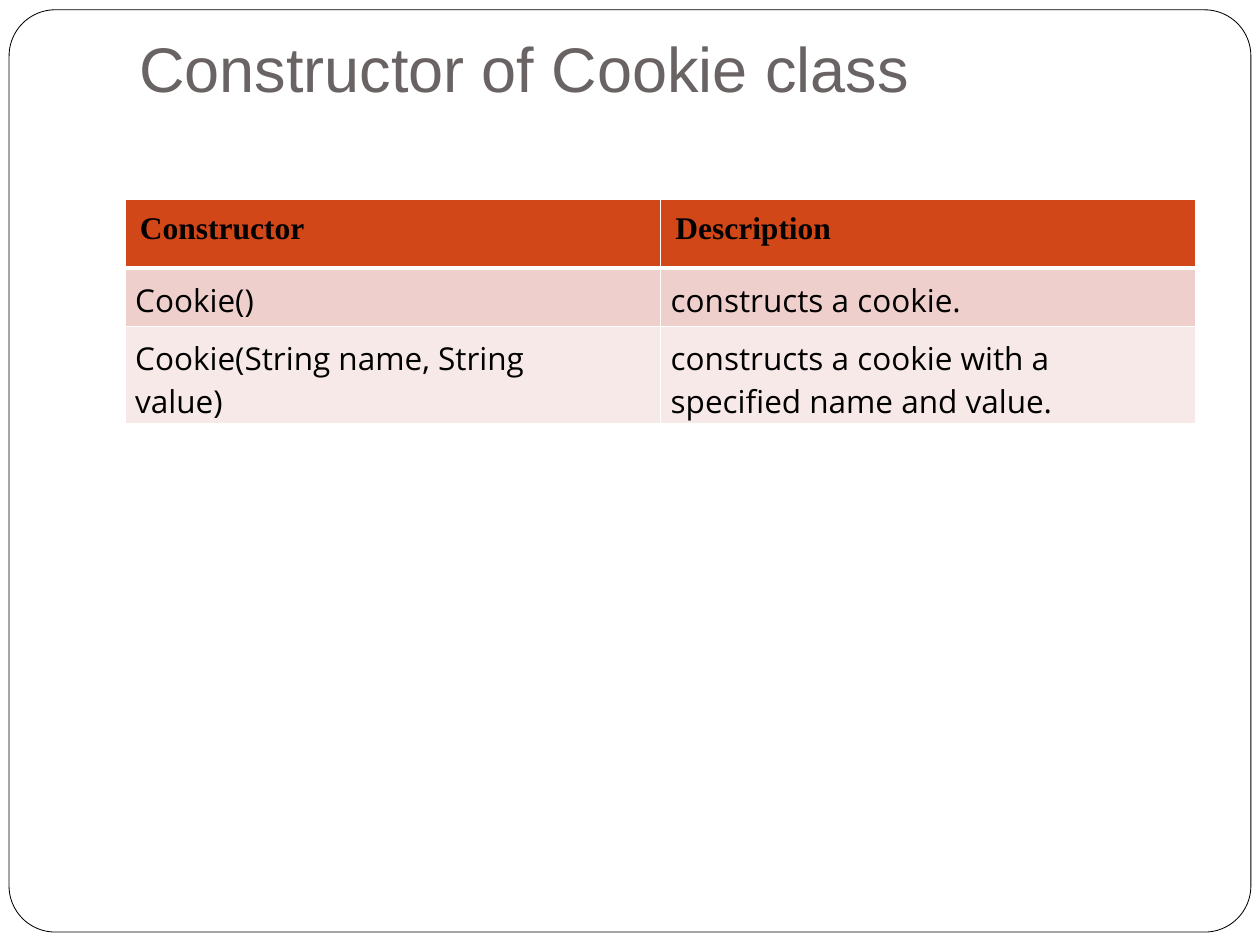
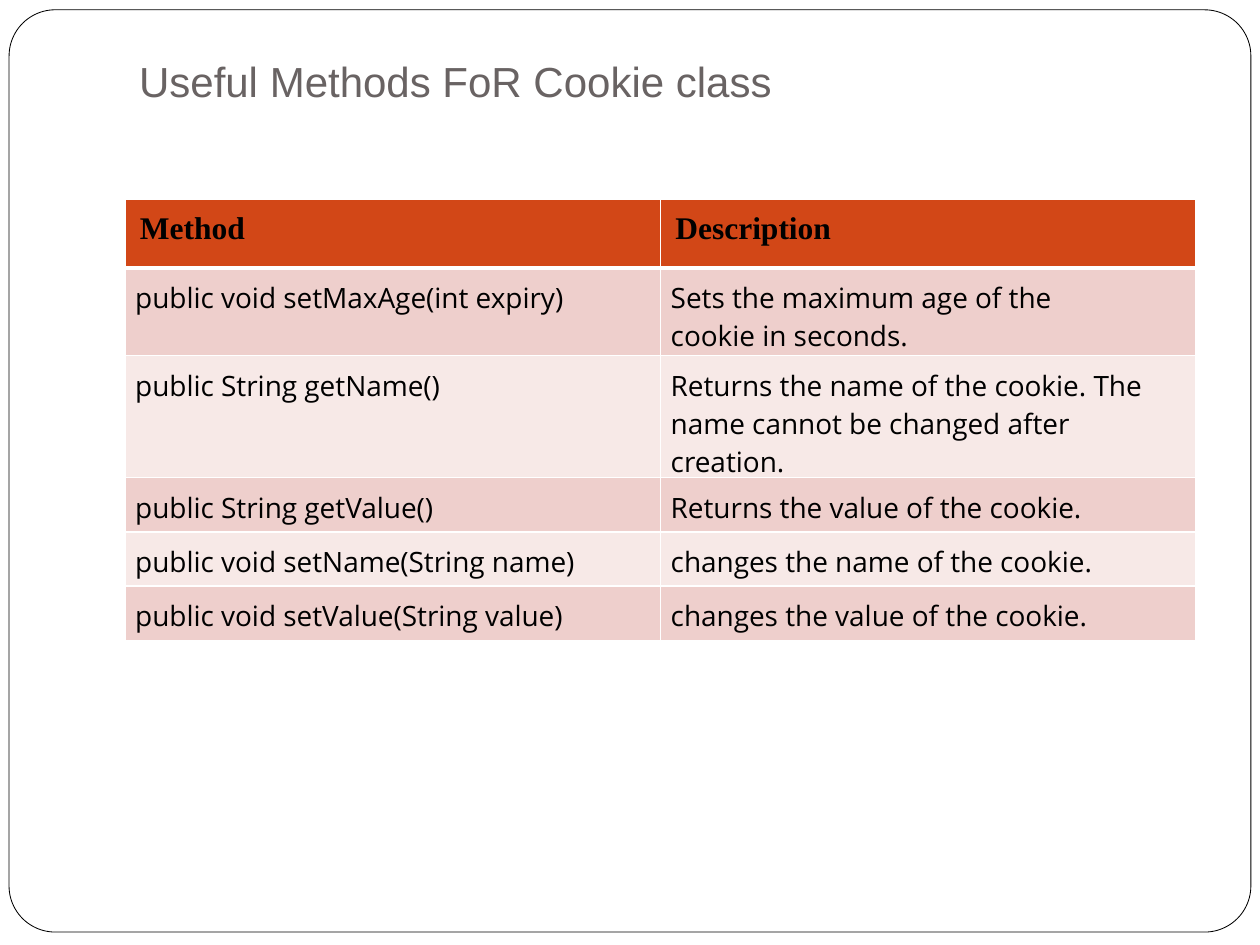
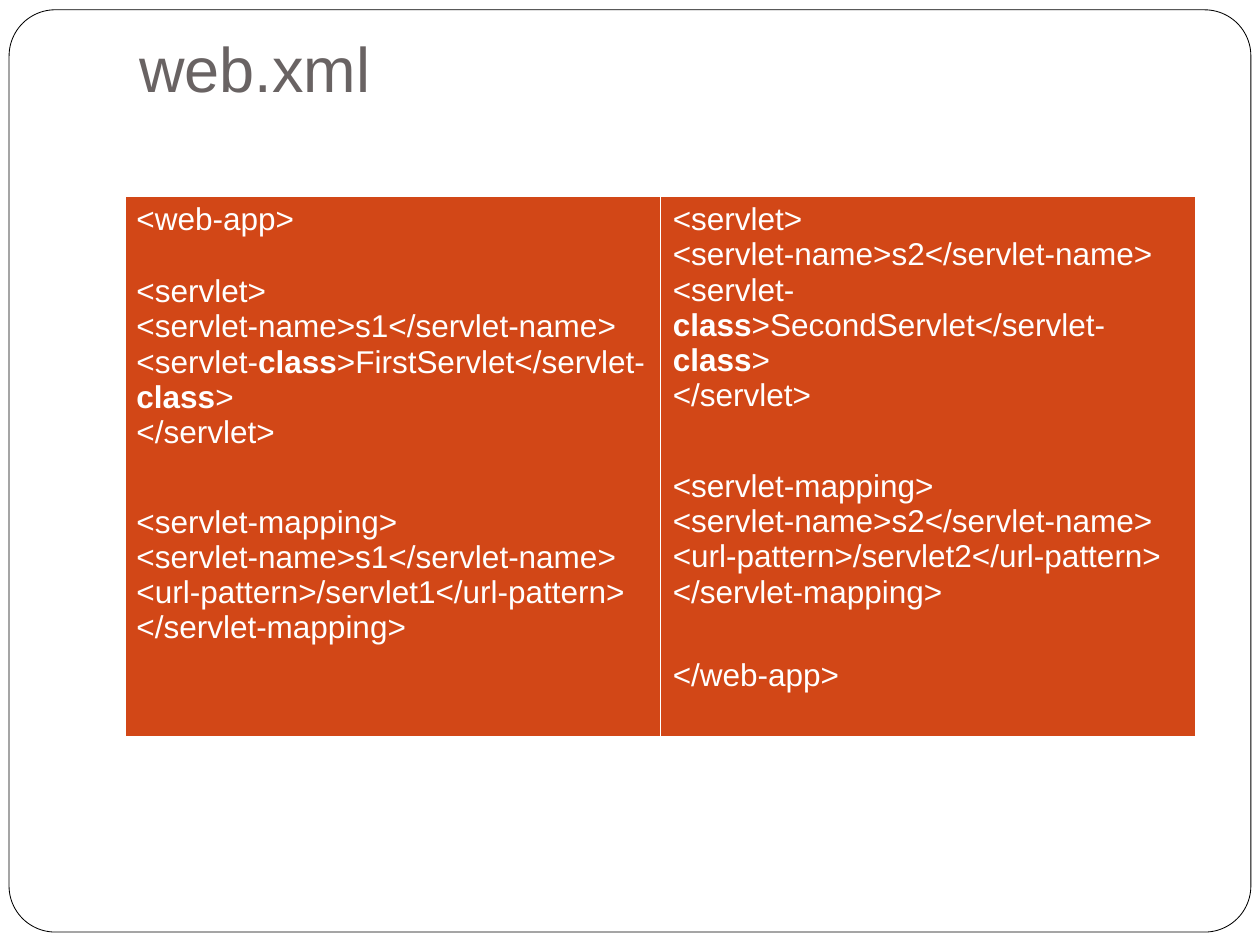
import lxml.etree
import pptx
import pptx.dml.color
import pptx.enum.shapes
import pptx.oxml.ns
import pptx.util

Pt = pptx.util.Pt
RGBColor = pptx.dml.color.RGBColor
qn = pptx.oxml.ns.qn

BLACK = RGBColor(0x00, 0x00, 0x00)
WHITE = RGBColor(0xFF, 0xFF, 0xFF)
GRAY = RGBColor(0x69, 0x63, 0x63)
ORANGE = RGBColor(0xD2, 0x47, 0x17)
BANDS = (RGBColor(0xEE, 0xCF, 0xCC), RGBColor(0xF7, 0xE9, 0xE7))
SIDES = ("lnL", "lnR", "lnT", "lnB")


class Deck:
    left = 71.5
    column_width = 306

    def __init__(self):
        self.prs = pptx.Presentation()
        self.prs.slide_width = Pt(720)
        self.prs.slide_height = Pt(540)

    def slide(self, title, size=36, inset=1):
        self.s = self.prs.slides.add_slide(self.prs.slide_layouts[6])
        self.frame()
        self.title(title, size, inset)

    def frame(self):
        sp = self.s.shapes.add_shape(
            pptx.enum.shapes.MSO_SHAPE.ROUNDED_RECTANGLE,
            Pt(5.2), Pt(5.6), Pt(709.6), Pt(527))
        sp.adjustments[0] = 0.05
        sp.shadow.inherit = False
        sp.fill.background()
        sp.line.color.rgb = BLACK
        sp.line.width = Pt(0.48)

    def title(self, text, size, inset):
        sp = self.s.shapes.add_textbox(Pt(78.5), Pt(15.8), Pt(560), Pt(45.4))
        tf = sp.text_frame
        tf.word_wrap = True
        tf.margin_left = Pt(1)
        tf.margin_top = Pt(inset)
        tf.margin_right = tf.margin_bottom = 0
        p = tf.paragraphs[0]
        p.text = text
        self.font(p, size, "Arial", GRAY)

    def font(self, p, size, name, color, bold=False):
        p.font.size = Pt(size)
        p.font.name = name
        p.font.color.rgb = color
        p.font.bold = bold

    def table(self, top, heights):
        shape = self.s.shapes.add_table(
            len(heights), 2, Pt(self.left), Pt(top),
            Pt(2 * self.column_width), Pt(sum(heights)))
        table = shape.table
        table.first_row = table.horz_banding = False
        for column in table.columns:
            column.width = Pt(self.column_width)
        for row, height in zip(table.rows, heights):
            row.height = Pt(height)
        return table

    def cell(self, cell, fill, left, top, right=0, borders=(1, 1, 1, 1)):
        cell.margin_left = Pt(left)
        cell.margin_top = Pt(top)
        cell.margin_right = Pt(right)
        cell.margin_bottom = 0
        tc_pr = cell._tc.get_or_add_tcPr()
        for side, width in zip(SIDES, borders):
            ln = lxml.etree.SubElement(tc_pr, qn("a:" + side), w=str(Pt(width)))
            if width:
                solid = lxml.etree.SubElement(ln, qn("a:solidFill"))
                lxml.etree.SubElement(solid, qn("a:srgbClr"), val=str(WHITE))
            else:
                lxml.etree.SubElement(ln, qn("a:noFill"))
        cell.fill.solid()
        cell.fill.fore_color.rgb = fill

    def reference_table(self, rows, heights, size, right):
        table = self.table(113.6, heights)
        for i, row in enumerate(rows):
            for j, text in enumerate(row):
                cell = table.cell(i, j)
                cell.text = text
                if i == 0:
                    self.cell(cell, ORANGE, 8.5, 7.1, borders=(1, 1, 1, 3))
                    style = (18, "Times New Roman", BLACK, True)
                else:
                    self.cell(cell, BANDS[(i - 1) % 2], 5.8, 6.1, right,
                              (1, 1, 3 if i == 1 else 1, 1))
                    style = (size, "Open Sans", BLACK)
                for p in cell.text_frame.paragraphs:
                    self.font(p, *style)

    def code_table(self, rows, heights, tops, gaps):
        table = self.table(112.3, heights)
        last = len(rows) - 1
        for i, row in enumerate(rows):
            for j, lines in enumerate(row):
                cell = table.cell(i, j)
                self.cell(cell, ORANGE, 6.5 + 0.5 * j, tops[i][j], 18 * j,
                          (1, 1, int(i == 0), 3 if i == last else 0))
                self.code(cell.text_frame, lines, gaps)

    def code(self, tf, lines, gaps):
        for i, line in enumerate(lines):
            p = tf.add_paragraph() if i else tf.paragraphs[0]
            self.font(p, 18, "Arial", WHITE)
            if i and line in gaps:
                p.space_before = Pt(gaps[line])
            for k, part in enumerate(line.split("class")):
                if k:
                    self.run(p, "class", True)
                if part:
                    self.run(p, part, False)

    def run(self, p, text, bold):
        r = p.add_run()
        r.text = text
        r.font.bold = bold


def servlet_mapping(number):
    return ["<servlet-mapping>",
            f"<servlet-name>s{number}</servlet-name>",
            f"<url-pattern>/servlet{number}</url-pattern>",
            "</servlet-mapping>"]


deck = Deck()

deck.slide("Constructor of Cookie class")
deck.reference_table([
    ("Constructor", "Description"),
    ("Cookie()", "constructs a cookie."),
    ("Cookie(String name, String value)",
     "constructs a cookie with a specified name and value."),
], (39.6, 33.5, 55.2), 18, 60)

deck.slide("Useful Methods FoR Cookie class", 24, 15.8)
deck.reference_table([
    ("Method", "Description"),
    ("public void setMaxAge(int expiry)",
     "Sets the maximum age of the\ncookie in seconds."),
    ("public String getName()",
     "Returns the name of the cookie. The name cannot be changed after creation."),
    ("public String getValue()", "Returns the value of the cookie."),
    ("public void setName(String name)", "changes the name of the cookie."),
    ("public void setValue(String value)", "changes the value of the cookie."),
], (39.6, 50, 69.8, 31, 31, 31), 16, 24)

deck.slide("web.xml")
deck.code_table([
    (["<web-app>", "<servlet>", "<servlet-name>s1</servlet-name>",
      "<servlet-class>FirstServlet</servlet-", "class>", "</servlet>"],
     ["<servlet>", "<servlet-name>s2</servlet-name>",
      "<servlet- class>SecondServlet</servlet- class>", "</servlet>"]),
    (servlet_mapping(1), servlet_mapping(2)),
    ([], ["</web-app>"]),
], (155.5, 108, 46), ((3.1, 3.1), (20.5, 0), (0, 0)), {"<servlet>": 21})

deck.prs.save("out.pptx")
